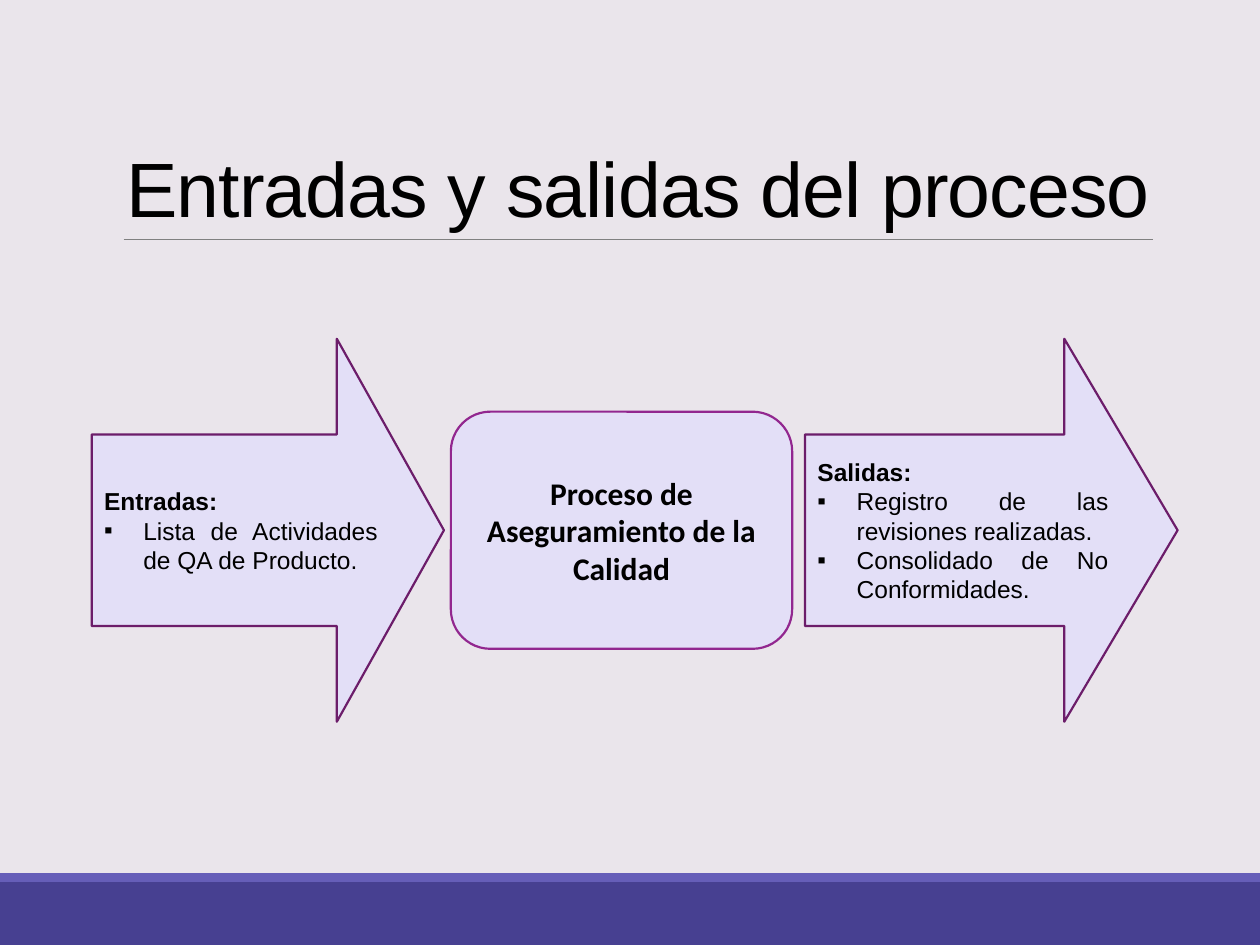
from lxml.etree import SubElement
from pptx import Presentation
from pptx.dml.color import RGBColor
from pptx.enum.shapes import MSO_CONNECTOR, MSO_SHAPE
from pptx.enum.text import MSO_ANCHOR, MSO_AUTO_SIZE, PP_ALIGN
from pptx.oxml.ns import qn
from pptx.util import Cm, Pt

COLORS = {
    "background": "EAE5EB",
    "band": "474091",
    "stripe": "665EB8",
    "rule": "808080",
    "panel": "E3DFF7",
    "arrow_edge": "6C1D6A",
    "process_edge": "92278F",
    "text": "000000",
}


def color(name):
    return RGBColor.from_string(COLORS[name])


def write(paragraph, text, size=14, font="Arial", bold=False,
          align=PP_ALIGN.LEFT, bullet=None, spacing=None, tracking=None):
    paragraph.alignment = align
    if spacing:
        paragraph.line_spacing = spacing
    run = paragraph.add_run()
    run.text = text
    run.font.size = Pt(size)
    run.font.name = font
    run.font.bold = bold
    run.font.color.rgb = color("text")
    if tracking:
        run.font._element.set("spc", str(round(tracking * 100)))
    if bullet:
        properties = paragraph._p.get_or_add_pPr()
        indent = Cm(0.79)
        properties.set("marL", str(indent))
        properties.set("indent", str(-indent))
        SubElement(properties, qn("a:buFont"), typeface="Arial")
        SubElement(properties, qn("a:buChar"), char=bullet)


class ProcessSlide:
    """Holds the slide and the shared style of its elements."""

    edge_width = Pt(1.25)

    def __init__(self, presentation):
        self.slide = presentation.slides.add_slide(presentation.slide_layouts[5])
        fill = self.slide.background.fill
        fill.solid()
        fill.fore_color.rgb = color("background")

    def shape(self, preset, left, top, width, height, fill, edge=None):
        shape = self.slide.shapes.add_shape(
            preset, Cm(left), Cm(top), Cm(width), Cm(height))
        shape.shadow.inherit = False
        shape.fill.solid()
        shape.fill.fore_color.rgb = color(fill)
        if edge:
            shape.line.color.rgb = color(edge)
            shape.line.width = self.edge_width
        else:
            shape.line.fill.background()
        shape.text_frame.word_wrap = True
        shape.text_frame.vertical_anchor = MSO_ANCHOR.MIDDLE
        return shape

    def rule(self, left, right, y):
        rule = self.slide.shapes.add_connector(
            MSO_CONNECTOR.STRAIGHT, Cm(left), Cm(y), Cm(right), Cm(y))
        rule.line.color.rgb = color("rule")
        rule.line.width = Pt(0.5)
        SubElement(rule._element.spPr, qn("a:effectLst"))

    def title(self, text, left, top, width, height):
        title = self.slide.shapes.title
        title.left, title.top = Cm(left), Cm(top)
        title.width, title.height = Cm(width), Cm(height)
        frame = title.text_frame
        frame.word_wrap = True
        frame.auto_size = MSO_AUTO_SIZE.NONE
        frame.vertical_anchor = MSO_ANCHOR.BOTTOM
        write(frame.paragraphs[0], text, size=44, spacing=0.85, tracking=-0.5)

    def arrow(self, heading, items, left, width):
        arrow = self.shape(MSO_SHAPE.RIGHT_ARROW, left, 6.83, width, 7.72,
                           "panel", "arrow_edge")
        arrow.adjustments[0] = 0.5
        arrow.adjustments[1] = 0.304
        frame = arrow.text_frame
        write(frame.paragraphs[0], heading, bold=True, align=PP_ALIGN.JUSTIFY)
        for item in items:
            write(frame.add_paragraph(), item, align=PP_ALIGN.JUSTIFY, bullet="▪")

    def process(self, text, left, top, width, height):
        process = self.shape(MSO_SHAPE.ROUNDED_RECTANGLE, left, top, width, height,
                             "panel", "process_edge")
        write(process.text_frame.paragraphs[0], text, size=18, font="Calibri",
              bold=True, align=PP_ALIGN.CENTER)


def main():
    presentation = Presentation()
    presentation.slide_width, presentation.slide_height = Cm(25.4), Cm(19.05)
    page = ProcessSlide(presentation)
    page.shape(MSO_SHAPE.RECTANGLE, 0, 17.78, 25.4, 1.27, "band")
    page.shape(MSO_SHAPE.RECTANGLE, 0, 17.6, 25.4, 0.18, "stripe")
    page.rule(2.49, 23.24, 4.83)
    page.title("Entradas y salidas del proceso", 2.29, 0.79, 21.87, 4.04)
    page.arrow("Entradas:", ["Lista de Actividades de QA de Producto."], 1.85, 7.1)
    page.arrow("Salidas:", ["Registro de las revisiones realizadas.",
                            "Consolidado de No Conformidades."], 16.23, 7.51)
    page.process("Proceso de Aseguramiento de la Calidad", 9.09, 8.3, 6.88, 4.78)
    presentation.save("out.pptx")


if __name__ == "__main__":
    main()
